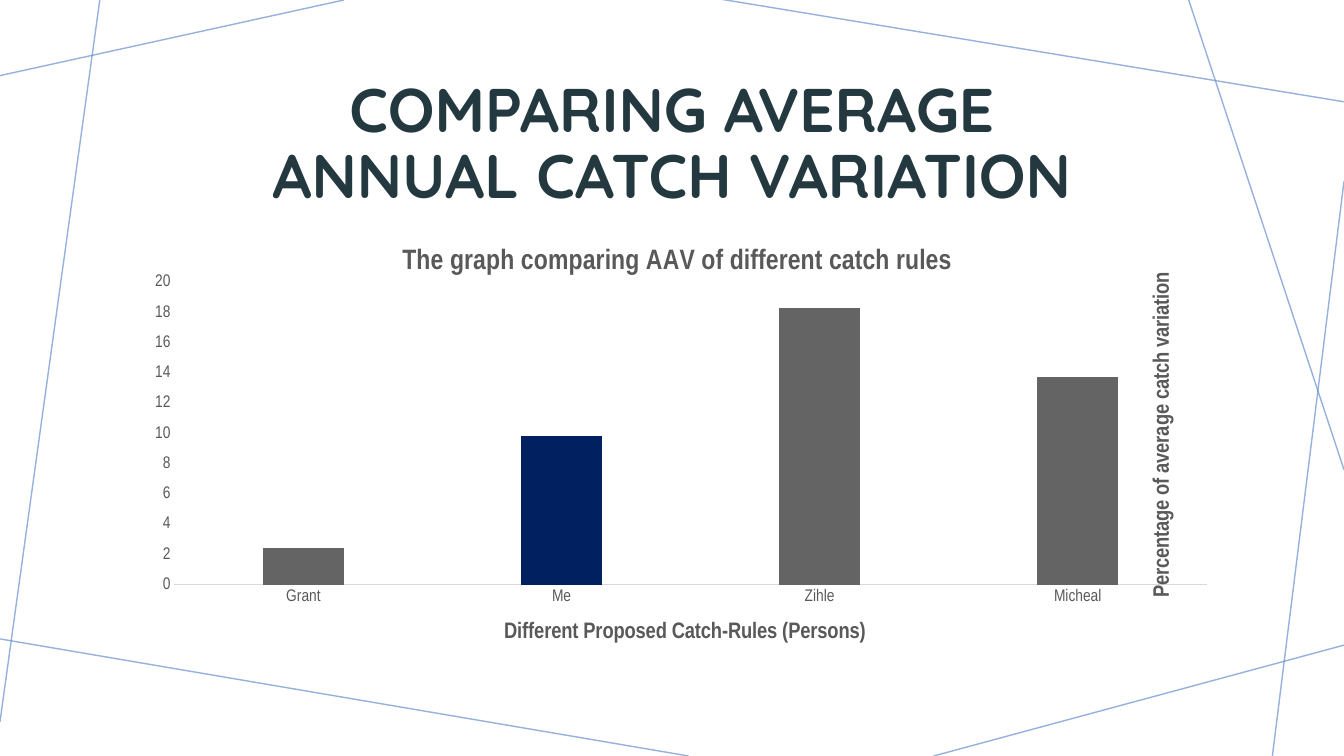
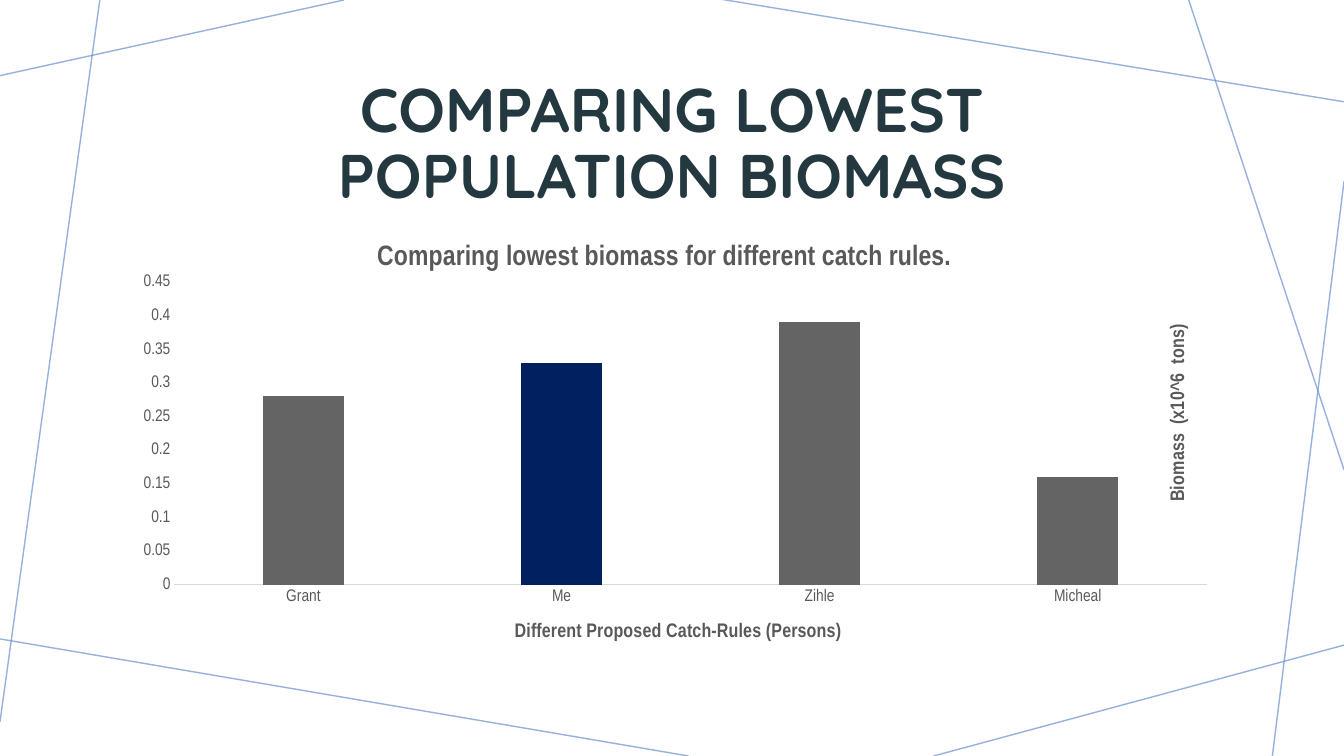
from lxml import etree
from pptx import Presentation
from pptx.chart.data import CategoryChartData
from pptx.dml.color import RGBColor
from pptx.enum.chart import XL_CHART_TYPE, XL_TICK_MARK
from pptx.enum.shapes import MSO_CONNECTOR
from pptx.enum.text import MSO_ANCHOR, PP_ALIGN
from pptx.oxml.ns import qn
from pptx.util import Inches, Pt

COLUMNS = XL_CHART_TYPE.COLUMN_CLUSTERED
NO_TICKS = XL_TICK_MARK.NONE
STRAIGHT = MSO_CONNECTOR.STRAIGHT
CENTER = PP_ALIGN.CENTER
MIDDLE = MSO_ANCHOR.MIDDLE

COLORS = {
    "title": "24393F",
    "frame": "6A90CE",
    "label": "595959",
    "axis": "D9D9D9",
    "column": "646464",
    "highlight": "002060",
}
TITLE_FONT = {"name": "Quicksand", "size": Pt(44), "bold": True}
CHART_FONT = {"name": "Arial Narrow", "size": Pt(10)}
TICK_FONT = {"name": "Arial Narrow", "size": Pt(12)}

TITLE_BOX = (2.49, 0.69, 8.35, 1.51)
CHART_BOX = (1.25, 2.2, 10.83, 4.4)
PLOT_BOX = (0.48, 0.6, 10.24, 3.0)  # inches inside the chart
FRAME_LINES = [
    (3.41, 0, 0, 0.75),
    (0.99, 0, 0, 7.16),
    (6.83, 7.5, -0.05, 6.33),
    (13.33, 6.4, 9.26, 7.5),
    (13.33, 1.8, 12.62, 7.5),
    (13.33, 4.66, 11.79, 0),
    (13.33, 1.01, 7.14, -0.01),
]

CATEGORIES = ["Grant", "Me", "Zihle", "Micheal"]
HIGHLIGHT_INDEX = CATEGORIES.index("Me")
CATEGORY_TITLE = "Different Proposed Catch-Rules (Persons)"

# Each chart label: text, size in points, left and top inside the chart
SLIDES = [
    {
        "title": "COMPARING AVERAGE ANNUAL CATCH VARIATION",
        "values": [2.4, 9.8, 18.3, 13.7],
        "scale": {"minimum_scale": 0, "maximum_scale": 20, "major_unit": 2},
        "chart_title": ("The graph comparing AAV of different catch rules", 20, 2.69, 0.18),
        "category_title": (CATEGORY_TITLE, 16, 3.71, 3.91),
        "value_title": ("Percentage of average catch variation", 16, 10.12, 0.46),
    },
    {
        "title": "COMPARING LOWEST POPULATION BIOMASS",
        "values": [0.28, 0.33, 0.39, 0.16],
        "scale": {"minimum_scale": 0, "maximum_scale": 0.45, "major_unit": 0.05},
        "chart_title": ("Comparing lowest biomass for different catch rules.", 20, 2.44, 0.14),
        "category_title": (CATEGORY_TITLE, 14, 3.82, 3.92),
        "value_title": ("Biomass  (x10^6  tons)", 14, 10.29, 0.98),
    },
]


def color(name):
    return RGBColor.from_string(COLORS[name])


def set_values(target, values):
    for name, value in values.items():
        setattr(target, name, value)


def style_font(font, values, color_name):
    set_values(font, values)
    font.color.rgb = color(color_name)


def add_frame(slide):
    """Draw the frame lines and move them to the layout shared by all slides."""
    layout_shapes = slide.slide_layout.shapes
    for ends in FRAME_LINES:
        connector = slide.shapes.add_connector(STRAIGHT, *map(Inches, ends))
        connector.line.width = Pt(1)
        connector.line.color.rgb = color("frame")
        properties = connector.element.spPr
        shade = properties.find(".//" + qn("a:srgbClr"))
        etree.SubElement(shade, qn("a:alpha"), val="70000")
        etree.SubElement(properties, qn("a:effectLst"))
        layout_shapes.element.append(connector.element)


def add_title(slide, text):
    title = slide.shapes.title
    sides = ("left", "top", "width", "height")
    set_values(title, dict(zip(sides, map(Inches, TITLE_BOX))))
    title.text_frame.text = text
    set_values(title.text_frame, {"word_wrap": True, "vertical_anchor": MIDDLE})
    paragraph = title.text_frame.paragraphs[0]
    set_values(paragraph, {"alignment": CENTER, "line_spacing": 0.9})
    style_font(paragraph.runs[0].font, TITLE_FONT, "title")


def place(element, box, target=None):
    """Position a chart part; box is in inches inside the chart."""
    layout = element.find(qn("c:layout"))
    if layout is None:
        layout = etree.Element(qn("c:layout"))
        element.insert(len(element.findall(qn("c:tx"))), layout)
    manual = etree.SubElement(layout, qn("c:manualLayout"))
    if target:
        etree.SubElement(manual, qn("c:layoutTarget"), val=target)
    for mode in ("xMode", "yMode"):
        etree.SubElement(manual, qn("c:" + mode), val="edge")
    for name, length, whole in zip("xywh", box, CHART_BOX[2:] * 2):
        etree.SubElement(manual, qn("c:" + name), val=str(length / whole))


def label(chart_label, text, size, left, top, rotation=0):
    frame = chart_label.text_frame
    frame.text = text
    values = {"name": "Arial Narrow", "size": Pt(size), "bold": True}
    style_font(frame.paragraphs[0].runs[0].font, values, "label")
    body = chart_label.element.find(".//" + qn("a:bodyPr"))
    body.set("rot", str(rotation * 60000))
    body.set("vert", "horz")
    place(chart_label.element, (left, top))


def style_axis(axis):
    set_values(axis, {
        "has_major_gridlines": False,
        "major_tick_mark": NO_TICKS,
        "minor_tick_mark": NO_TICKS,
    })
    style_font(axis.tick_labels.font, TICK_FONT, "label")


def add_column_chart(slide, content):
    data = CategoryChartData()
    data.categories = CATEGORIES
    data.add_series("Series 1", content["values"])
    chart = slide.shapes.add_chart(COLUMNS, *map(Inches, CHART_BOX), data).chart
    chart.has_legend = False
    set_values(chart.font, CHART_FONT)
    place(chart.element.find(".//" + qn("c:plotArea")), PLOT_BOX, "inner")

    # Columns
    plot = chart.plots[0]
    set_values(plot, {"gap_width": 219, "overlap": -27, "vary_by_categories": False})
    series = plot.series[0]
    highlight = series.points[HIGHLIGHT_INDEX]
    for part, color_name in ((series, "column"), (highlight, "highlight")):
        part.format.fill.solid()
        part.format.fill.fore_color.rgb = color(color_name)

    # Axes
    category_axis, value_axis = chart.category_axis, chart.value_axis
    for axis in (category_axis, value_axis):
        style_axis(axis)
    category_axis.format.line.width = Pt(0.75)
    category_axis.format.line.color.rgb = color("axis")
    value_axis.format.line.fill.background()
    set_values(value_axis, content["scale"])

    # Labels
    label(chart.chart_title, *content["chart_title"])
    label(category_axis.axis_title, *content["category_title"])
    label(value_axis.axis_title, *content["value_title"], rotation=-90)


def main():
    presentation = Presentation()
    presentation.slide_width = Inches(13.33)
    presentation.slide_height = Inches(7.5)
    layout = presentation.slide_layouts.get_by_name("Title Only")
    for content in SLIDES:
        slide = presentation.slides.add_slide(layout)
        add_title(slide, content["title"])
        add_column_chart(slide, content)
    add_frame(presentation.slides[0])
    presentation.save("out.pptx")


main()
